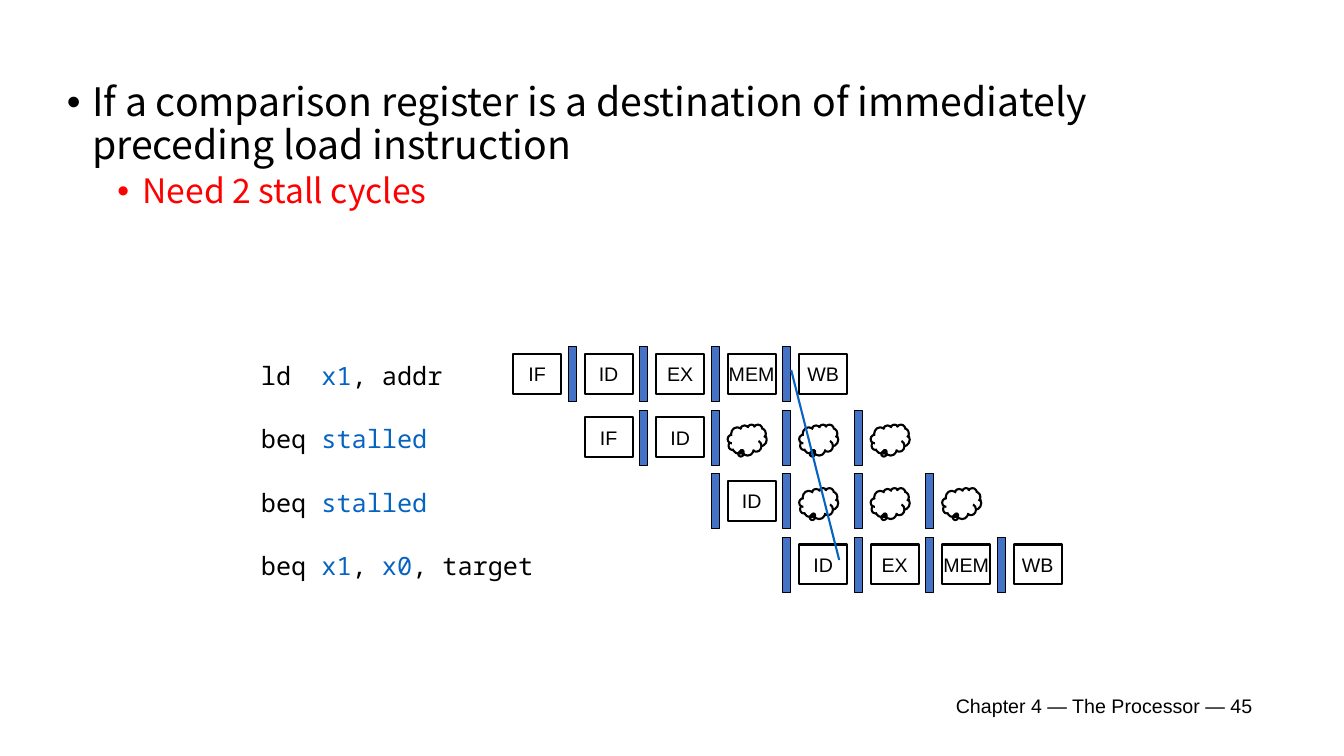
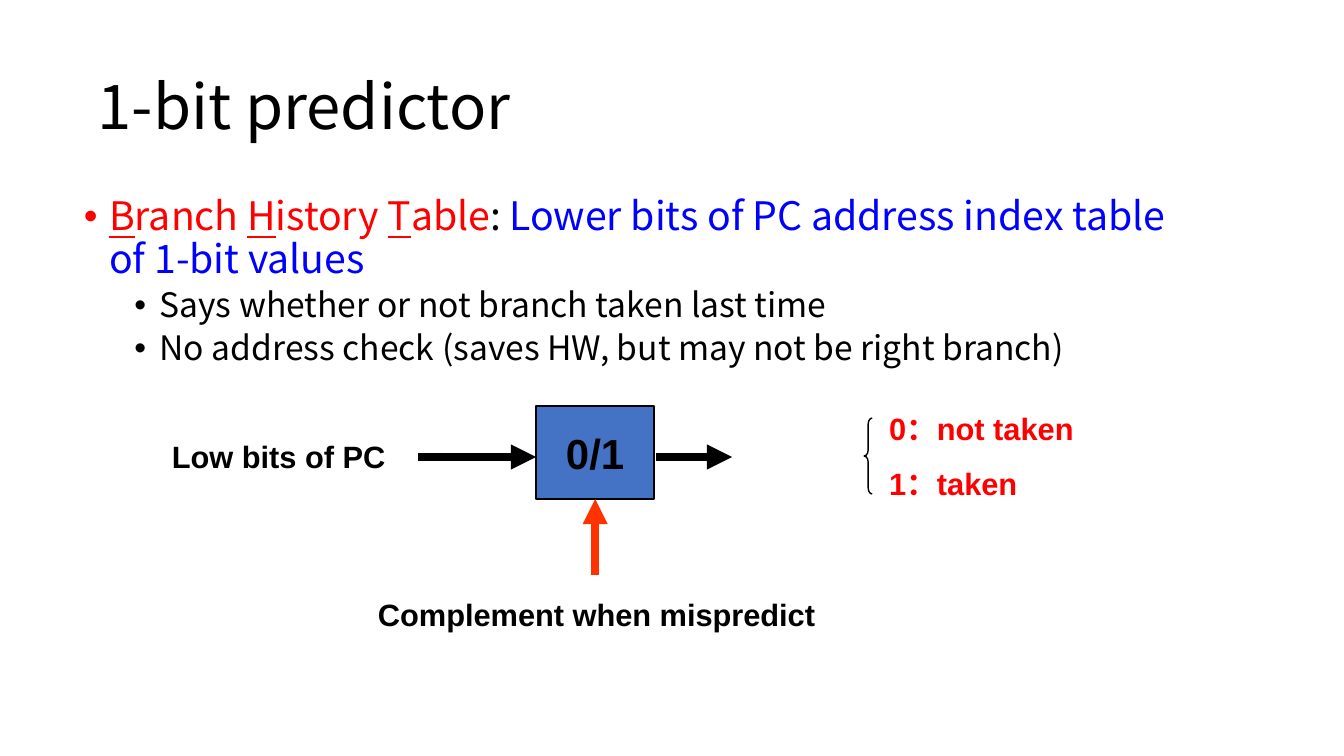
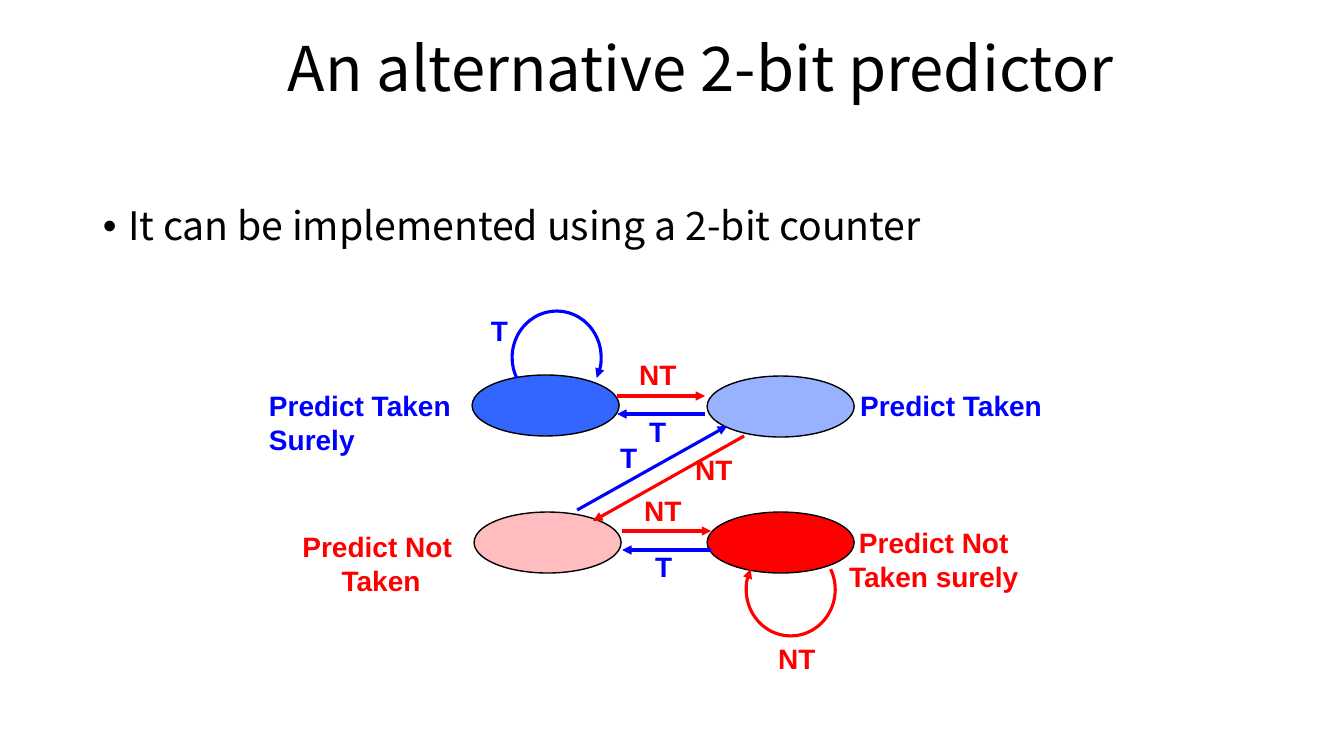
from lxml import etree
from pptx import Presentation
from pptx import util as u
from pptx.dml import color
from pptx.enum import shapes, text
from pptx.oxml import ns

PX = 914400 / 100.8
HUE = {
    "black": "000000", "red": "FF0000", "blue": "0000FF", "bar": "4472C4",
    "code": "0563C1", "flame": "FF3300", "sky": "3366FF", "pink": "FF7C80",
}
SANS, CJK, MONO = "Arial", "Noto Sans CJK SC", "Noto Sans Mono"
KIND = shapes.MSO_SHAPE
LEFT, MID = text.PP_ALIGN.LEFT, text.PP_ALIGN.CENTER

STALL = "stall"
PIPE = [
    ([("ld  ", "black"), ("x1", "code"), (", addr", "black")], 205,
     ["IF", "ID", "EX", "MEM", "WB"]),
    ([("beq ", "black"), ("stalled", "code")], 187,
     ["IF", "ID", STALL, STALL, STALL]),
    ([("beq ", "black"), ("stalled", "code")], 187,
     ["ID", STALL, STALL, STALL]),
    ([("beq ", "black"), ("x1", "code"), (", ", "black"), ("x0", "code"),
      (", target", "black")], 297, ["ID", "EX", "MEM", "WB"]),
]
LOAD = [
    (0, [("If a comparison register is a destination of immediately "
          "preceding load instruction", "black")]),
    (1, [("Need 2 stall cycles", "red")]),
]
TABLE = [
    (0, [("B", "red", True), ("ranch ", "red"), ("H", "red", True),
         ("istory ", "red"), ("T", "red", True), ("able", "red"),
         (": ", "black"),
         ("Lower bits of PC address index table of 1-bit values", "blue")]),
    (1, [("Says whether or not branch taken last time", "black")]),
    (1, [("No address check (saves HW, but may not be right branch)",
          "black")]),
]
COUNT = [(0, [("It can be implemented using a 2-bit counter", "black")])]

FLOWS = [
    ((418, 457), (536, 457), "black"),
    ((656, 457), (732, 457), "black"),
    ((595, 575), (595, 499), "flame"),
]
STATES = [
    ((472, 375), "sky", 100), ((707, 376), "sky", 50),
    ((474, 512), "pink", 50), ((707, 512), "red", 100),
]
NAMES = [
    ((259, 384, 204, 78), ["Predict Taken", "Surely"], "blue", LEFT),
    ((292, 525, 178, 78), ["Predict Not ", "Taken"], "red", MID),
    ((850, 384, 204, 43), ["Predict Taken"], "blue", LEFT),
    ((838, 521, 199, 78), ["Predict Not ", "Taken surely "], "red", MID),
]
MOVES = [
    ((617, 396), (705, 396), "red"), ((705, 414), (617, 414), "blue"),
    ((622, 531), (711, 531), "red"), ((711, 550), (622, 550), "blue"),
    ((577, 510), (727, 426), "blue"), ((744, 436), (593, 521), "red"),
]
MARKS = {
    "T": ("blue", 37, [(481, 309), (610, 436), (639, 410), (645, 545)]),
    "NT": ("red", 58, [(768, 637), (629, 353), (634, 489), (685, 448)]),
}
LOOPS = [((512, 311), "blue", 153, 27), ((746, 543), "red", 333, 207)]

deck = Presentation()
deck.slide_width, deck.slide_height = u.Inches(13.33), u.Inches(7.5)


def emu(*vals):
    return [round(v * PX) for v in vals]


def rgb(name):
    return color.RGBColor.from_string(HUE[name])


def add(node, tag, **attrs):
    return etree.SubElement(node, ns.qn(tag), **attrs)


def page():
    return deck.slides.add_slide(deck.slide_layouts[6])


def write(par, runs, size, font, bold=False):
    for words, hue, *under in runs:
        run = par.add_run()
        run.text = words
        face = run.font
        face.name, face.size, face.bold = font, u.Pt(size), bold
        face.color.rgb = rgb(hue)
        if under:
            face.underline = True


def label(slide, box, lines, size, font=SANS, bold=False, align=LEFT,
          wrap=False, mid=False, space=None):
    frame = slide.shapes.add_textbox(*emu(*box)).text_frame
    frame.word_wrap = wrap
    if mid:
        frame.vertical_anchor = text.MSO_ANCHOR.MIDDLE
    for i, runs in enumerate(lines):
        par = frame.add_paragraph() if i else frame.paragraphs[0]
        par.alignment = align
        if space:
            par.line_spacing = space
        write(par, runs, size, font, bold)
    return frame


def title(slide, box, words):
    label(slide, box, [[(words, "black")]], 44, CJK, wrap=True, mid=True,
          space=0.9)


def body(slide, box, items):
    frame = label(slide, box, [], 28, wrap=True)
    for i, (level, runs) in enumerate(items):
        par = frame.add_paragraph() if i else frame.paragraphs[0]
        par.level, par.line_spacing = level, 0.9
        par.space_before = u.Pt(5 if level else 10)
        props = par._p.get_or_add_pPr()
        props.set("marL", str(u.Inches(0.25 + level * 0.5)))
        props.set("indent", str(-u.Inches(0.25)))
        add(props, "a:buFont", typeface=SANS)
        add(props, "a:buChar", char="•")
        write(par, runs, 24 if level else 28, CJK)


def shape(slide, kind, box, fill=None, line="black", width=1.0, adj=(),
          words=None, size=14, bold=False):
    item = slide.shapes.add_shape(kind, *emu(*box))
    item.shadow.inherit = False
    for i, val in enumerate(adj):
        item.adjustments[i] = val
    if fill:
        item.fill.solid()
        item.fill.fore_color.rgb = rgb(fill)
    else:
        item.fill.background()
    item.line.color.rgb, item.line.width = rgb(line), u.Pt(width)
    if words:
        frame = item.text_frame
        frame.word_wrap = False
        frame.vertical_anchor = text.MSO_ANCHOR.MIDDLE
        frame.paragraphs[0].alignment = MID
        write(frame.paragraphs[0], [(words, "black")], size, SANS, bold)
    return item


def tip(item):
    add(item.element.spPr.find(ns.qn("a:ln")), "a:tailEnd", type="triangle")


def link(slide, start, end, hue, width, arrow=True):
    item = slide.shapes.add_connector(
        shapes.MSO_CONNECTOR.STRAIGHT, *emu(*start, *end))
    item.line.color.rgb, item.line.width = rgb(hue), u.Pt(width)
    add(item.element.spPr, "a:effectLst")
    if arrow:
        tip(item)


def stalls():
    slide = page()
    body(slide, (57, 78, 1146, 262), LOAD)
    label(slide, (933, 686, 342, 40),
          [[("Chapter 4 — The Processor — 45", "black")]], 14,
          align=MID, wrap=True, mid=True)
    step, drop = 71.5, 63.5
    for row, (code, wide, stages) in enumerate(PIPE):
        top = 354 + row * drop
        label(slide, (251, top + 1, wide, 40), [code], 18, MONO)
        first = row + 5 - len(stages)
        for col, stage in enumerate(stages, first):
            left = 513 + col * step
            if stage == STALL:
                shape(slide, KIND.CLOUD_CALLOUT, (left, top + 7, 39, 31),
                      width=1.5, adj=(-0.13, 0.36))
            else:
                shape(slide, KIND.RECTANGLE, (left, top, 48, 40),
                      width=1.5, words=stage)
        for col in range(row, row + 4):
            shape(slide, KIND.RECTANGLE,
                  (568 + col * step, top - 7, 8, 55), "bar", width=0.75)
    link(slide, (791, 370), (839, 560), "code", 1.5, arrow=False)


def onebit():
    slide = page()
    title(slide, (74, 59, 479, 101), " 1-bit predictor")
    body(slide, (74, 192, 1138, 198), TABLE)
    shape(slide, KIND.RECTANGLE, (536, 406, 118, 93), "bar",
          words="0/1", size=30, bold=True)
    for start, end, hue in FLOWS:
        link(slide, start, end, hue, 6)
    label(slide, (162, 433, 327, 47), [[("Low bits of PC", "black")]], 22,
          bold=True, wrap=True)
    label(slide, (879, 386, 212, 130),
          [[("0：not taken ", "red")], [("1：taken", "red")]], 22,
          bold=True, wrap=True, space=1.5)
    shape(slide, KIND.LEFT_BRACE, (864, 418, 8, 76), adj=(0.75, 0.5))
    label(slide, (368, 591, 464, 92),
          [[("Complement when mispredict", "black")]], 22, bold=True)


def twobit():
    slide = page()
    title(slide, (278, 21, 1065, 101), "An alternative 2-bit predictor")
    body(slide, (93, 202, 1159, 480), COUNT)
    for box, lines, hue, align in NAMES:
        label(slide, box, [[(line, hue)] for line in lines], 20,
              bold=True, align=align)
    for spot, hue, alpha in STATES:
        oval = shape(slide, KIND.OVAL, (*spot, 147, 61), hue)
        if alpha < 100:
            tint = oval.element.spPr.find(ns.qn("a:solidFill"))[0]
            add(tint, "a:alpha", val=str(alpha * 1000))
    for spot, hue, start, end in LOOPS:
        tip(shape(slide, KIND.ARC, (*spot, 89, 93), line=hue, width=2.25,
                  adj=(start * 0.6, end * 0.6)))
    for start, end, hue in MOVES:
        link(slide, start, end, hue, 2.25)
    for words, (hue, wide, spots) in MARKS.items():
        for spot in spots:
            label(slide, (*spot, wide, 43), [[(words, hue)]], 20, bold=True)


stalls()
onebit()
twobit()
deck.save("out.pptx")
